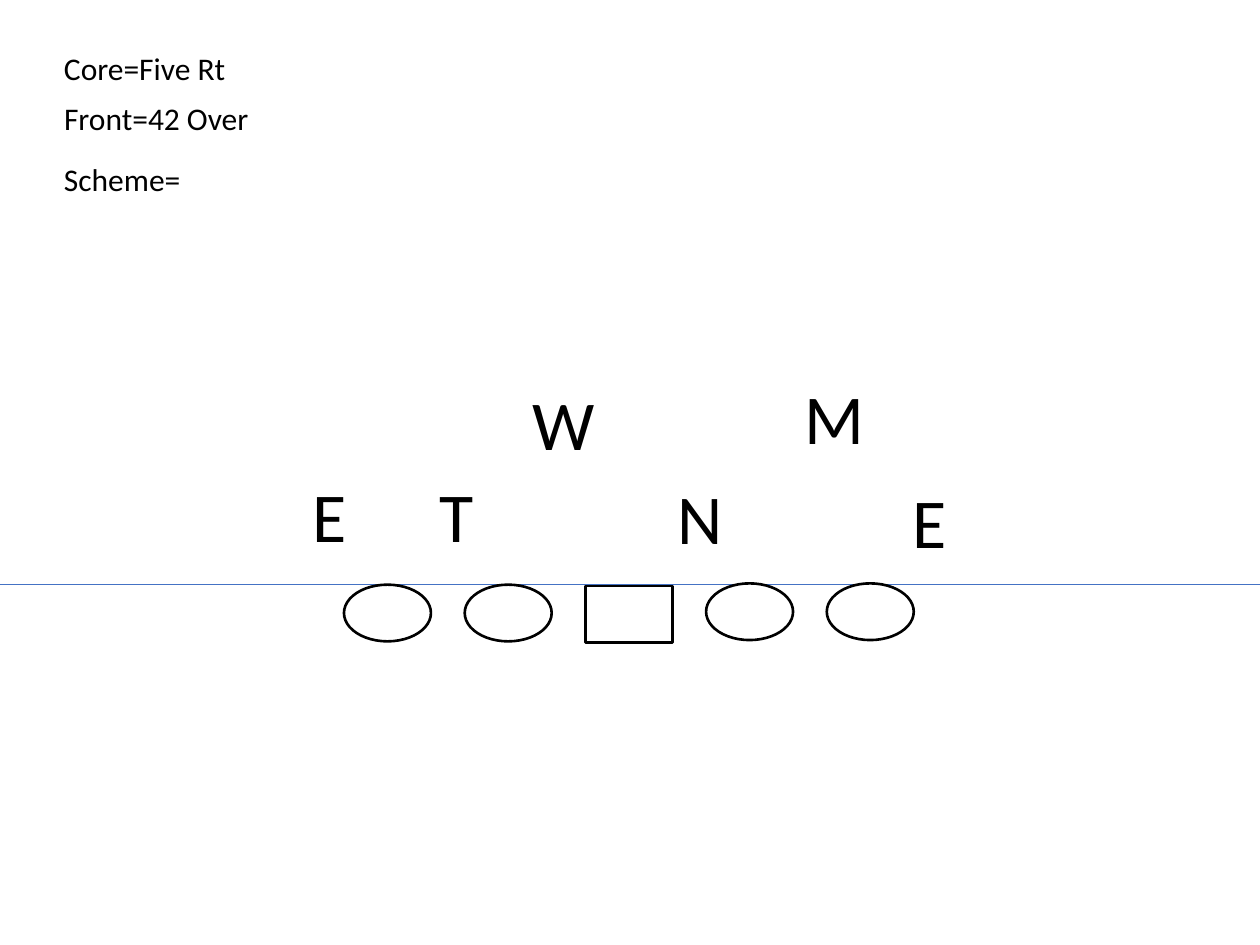
import pptx
import pptx.dml.color
import pptx.enum.shapes
import pptx.enum.text
import pptx.oxml
import pptx.util

COLORS = {"ink": "000000", "paper": "FFFFFF", "scrimmage": "4472C4"}
COLUMNS, ROWS = 100, 75


class PlayDiagram:
    """Draws a football play on a grid of 100 columns by 75 rows."""

    def __init__(self, presentation):
        self.font = "Calibri"
        self.column = presentation.slide_width / COLUMNS
        self.row = presentation.slide_height / ROWS
        self.slide = presentation.slides.add_slide(presentation.slide_layouts[6])

    def color(self, name):
        return pptx.dml.color.RGBColor.from_string(COLORS[name])

    def place(self, left, top, width, height):
        return (round(left * self.column), round(top * self.row),
                round(width * self.column), round(height * self.row))

    def label(self, text, left, top, width, height, size):
        box = self.slide.shapes.add_textbox(*self.place(left, top, width, height))
        frame = box.text_frame
        frame.text = text
        frame.word_wrap = False
        frame.auto_size = pptx.enum.text.MSO_AUTO_SIZE.SHAPE_TO_FIT_TEXT
        font = frame.paragraphs[0].runs[0].font
        font.name = self.font
        font.size = pptx.util.Pt(size)
        font.color.rgb = self.color("ink")

    def scrimmage_line(self, row):
        line = self.slide.shapes.add_connector(
            pptx.enum.shapes.MSO_CONNECTOR.STRAIGHT,
            *self.place(0, row, COLUMNS, row))
        line.line.color.rgb = self.color("scrimmage")
        line.line.width = pptx.util.Pt(0.5)
        line._element.spPr.append(pptx.oxml.parse_xml(
            '<a:effectLst xmlns:a="http://schemas.openxmlformats.org/drawingml/2006/main"/>'))

    def lineman(self, kind, left, top):
        shape = self.slide.shapes.add_shape(kind, *self.place(left, top, 6.9, 4.5))
        shape.shadow.inherit = False
        shape.fill.solid()
        shape.fill.fore_color.rgb = self.color("paper")
        shape.line.color.rgb = self.color("ink")
        shape.line.width = pptx.util.Pt(1.5)


presentation = pptx.Presentation()
presentation.slide_width = pptx.util.Inches(10)
presentation.slide_height = pptx.util.Inches(7.5)
play = PlayDiagram(presentation)

play.scrimmage_line(46.4)

for text, top, width in [("Core=Five Rt", 3.4, 15),
                         ("Front=42 Over", 7.4, 16.8),
                         ("Scheme=", 12.2, 11.4)]:
    play.label(text, 4.1, top, width, 4, 18)

for defender, left, top, width in [("E", 23.8, 37, 4.8), ("T", 33.9, 37, 4.8),
                                   ("N", 52.8, 37.2, 5.6), ("E", 71.4, 37.5, 4.8),
                                   ("W", 41.3, 29.7, 7), ("M", 62.9, 29.2, 7)]:
    play.label(defender, left, top, width, 7.7, 40)

GUARD_OR_TACKLE = pptx.enum.shapes.MSO_SHAPE.OVAL
CENTER = pptx.enum.shapes.MSO_SHAPE.RECTANGLE
for position, top in enumerate([46.4, 46.4, 46.5, 46.3, 46.3]):
    kind = CENTER if position == 2 else GUARD_OR_TACKLE
    play.lineman(kind, 27.3 + 9.58 * position, top)

presentation.save("out.pptx")
